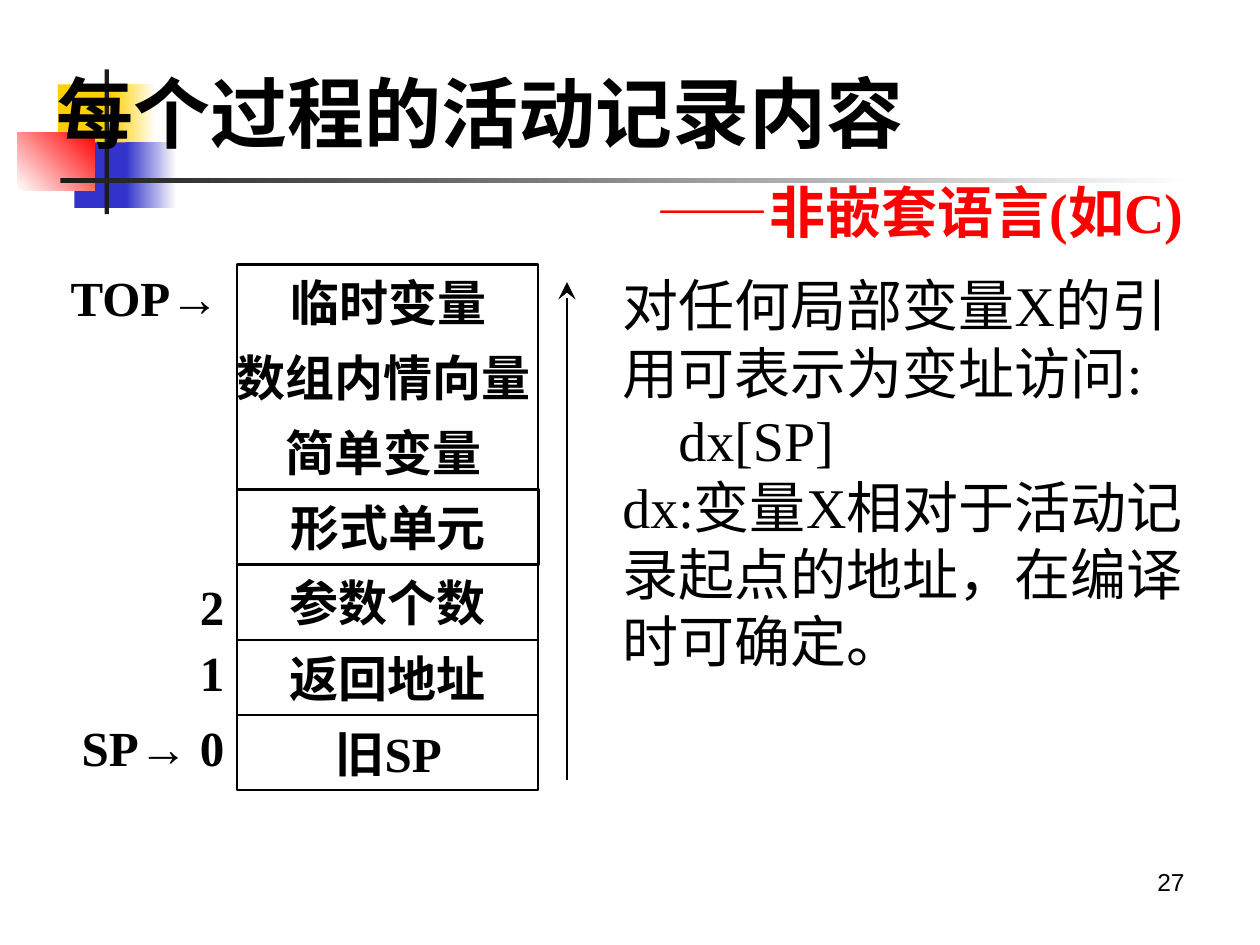
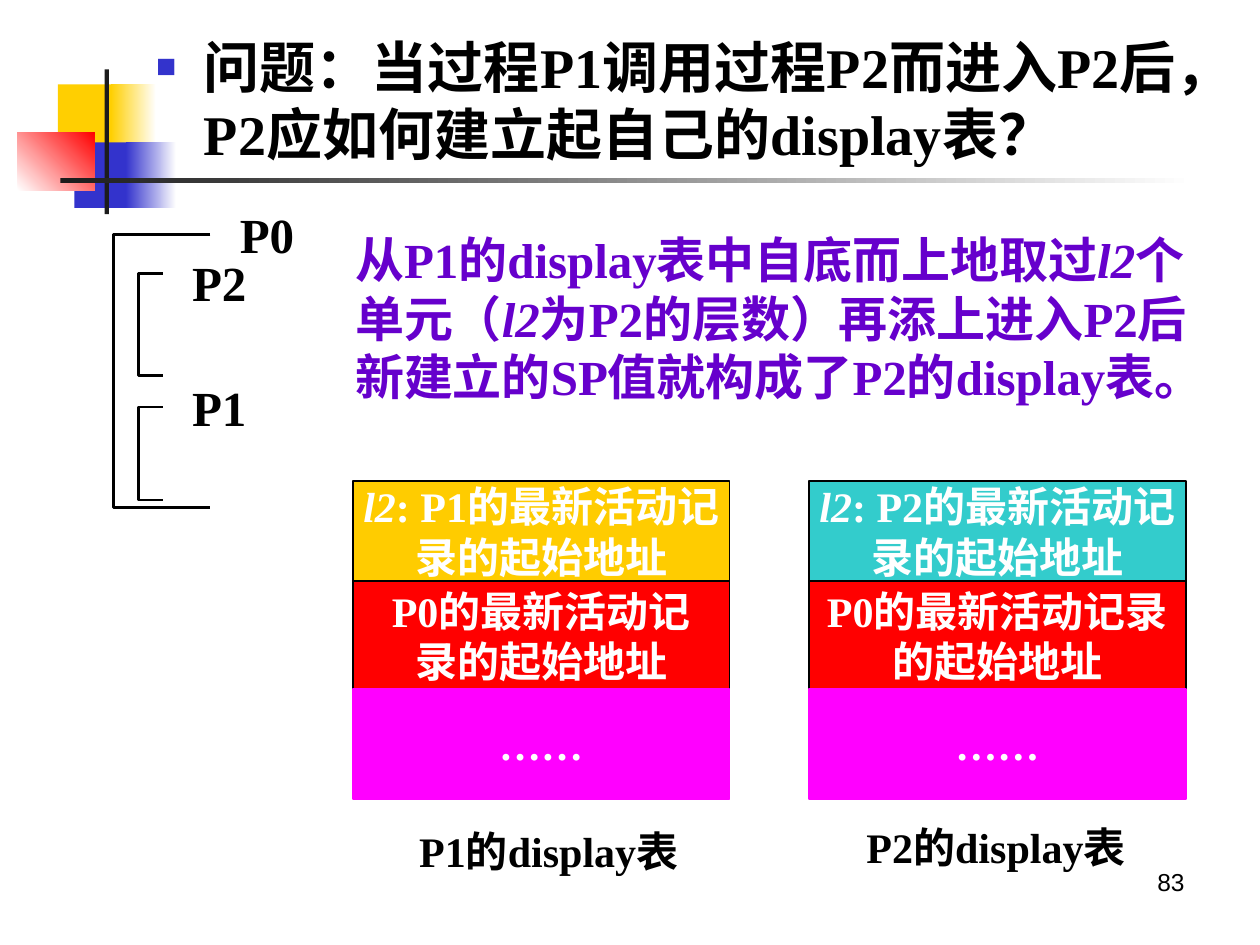
from dataclasses import dataclass
from typing import NamedTuple, Optional

from lxml.etree import SubElement
from pptx import Presentation
from pptx.dml.color import RGBColor
from pptx.enum.shapes import MSO_CONNECTOR, MSO_SHAPE
from pptx.enum.text import MSO_ANCHOR as Anchor, PP_ALIGN as Align
from pptx.oxml.ns import qn
from pptx.util import Inches, Pt

# Slide size and grid: 100 columns by 75 rows
WIDTH, HEIGHT = Inches(10), Inches(7.5)
COL, ROW = WIDTH / 100, HEIGHT / 75

# Colours
BLACK = RGBColor(0x00, 0x00, 0x00)
WHITE = RGBColor(0xFF, 0xFF, 0xFF)
INK = RGBColor(0x1C, 0x1C, 0x1C)
GOLD = RGBColor(0xFF, 0xCF, 0x01)
BLUE = RGBColor(0x33, 0x33, 0xCC)
RED = RGBColor(0xFF, 0x00, 0x00)
AMBER = RGBColor(0xFF, 0xCC, 0x00)
TEAL = RGBColor(0x33, 0xCC, 0xCC)
PINK = RGBColor(0xFF, 0x00, 0xFF)
PURPLE = RGBColor(0x66, 0x00, 0xCC)

SERIF, SANS = "Times New Roman", "Arial"
SLACK = 3  # columns added on both sides of a centred label


class Area(NamedTuple):
    """A place on the grid, in columns and rows."""
    left: float
    top: float
    width: float
    height: float

    def emu(self) -> tuple:
        return (round(self.left * COL), round(self.top * ROW),
                round(self.width * COL), round(self.height * ROW))

    def widen(self, by: float) -> "Area":
        return Area(self.left - by, self.top, self.width + 2 * by, self.height)


class Bit(NamedTuple):
    """A piece of a line that may differ from the style of its box."""
    text: str
    italic: bool = False
    font: Optional[str] = None
    size: Optional[int] = None
    color: Optional[RGBColor] = None


@dataclass(frozen=True)
class Style:
    size: int = 28
    color: RGBColor = BLACK
    bold: bool = True
    font: str = SERIF
    align: Align = Align.CENTER
    anchor: Anchor = Anchor.MIDDLE
    wrap: bool = False


@dataclass(frozen=True)
class Block:
    """A band of the corner ornament; a fade runs from color to end."""
    area: Area
    color: RGBColor
    end: Optional[RGBColor] = None
    angle: int = 0


class Cell(NamedTuple):
    """A row of the activation record."""
    label: str
    width: float
    boxed: bool


LABEL = Style()
NUMBER = Style(align=Align.RIGHT)
TITLE = Style(size=44, align=Align.LEFT, wrap=True)
TOPIC = Style(size=32, align=Align.LEFT, anchor=Anchor.TOP, wrap=True)
BODY = Style(size=32, bold=False, align=Align.LEFT, anchor=Anchor.TOP, wrap=True)
ANSWER = Style(color=PURPLE, align=Align.LEFT, anchor=Anchor.TOP, wrap=True)
ENTRY = Style(size=24, color=WHITE)
NAME = Style(size=24, anchor=Anchor.TOP)
PAGE = Style(size=14, bold=False, font=SANS, align=Align.RIGHT,
             anchor=Anchor.TOP, wrap=True)

DECOR = (
    Block(Area(4.6, 6.7, 4.8, 5.2), GOLD),
    Block(Area(8.8, 6.7, 3.6, 5.2), GOLD, WHITE),
    Block(Area(5.9, 11.3, 4.6, 5.2), BLUE),
    Block(Area(10, 11.3, 4, 5.2), BLUE, WHITE),
    Block(Area(1.4, 10.5, 6.1, 4.6), WHITE, RED, 45),
    Block(Area(8.3, 5.5, 0.35, 11.5), INK),
    Block(Area(4.8, 14.15, 90, 0.4), INK, WHITE),
)


# Drawing tools
def write(shape, lines: tuple, style: Style) -> list:
    frame = shape.text_frame
    frame.word_wrap = style.wrap
    frame.vertical_anchor = style.anchor
    for i, line in enumerate(lines):
        para = frame.paragraphs[0] if i == 0 else frame.add_paragraph()
        para.alignment = style.align
        for bit in (Bit(line),) if isinstance(line, str) else line:
            run = para.add_run()
            run.text = bit.text
            font = run.font
            font.name = bit.font or style.font
            font.size = Pt(bit.size or style.size)
            font.bold, font.italic = style.bold, bit.italic
            font.color.rgb = bit.color or style.color
    return list(frame.paragraphs)


def text(slide, area: Area, lines: tuple, style: Style) -> list:
    if style.align == Align.CENTER:
        area = area.widen(SLACK)
    return write(slide.shapes.add_textbox(*area.emu()), lines, style)


def box(slide, area: Area, fill: Optional[RGBColor] = None,
        line: Optional[RGBColor] = None, weight: float = 1.5):
    shape = slide.shapes.add_shape(MSO_SHAPE.RECTANGLE, *area.emu())
    shape.shadow.inherit = False
    if fill is None:
        shape.fill.background()
    else:
        shape.fill.solid()
        shape.fill.fore_color.rgb = fill
    if line is None:
        shape.line.fill.background()
    else:
        shape.line.color.rgb = line
        shape.line.width = Pt(weight)
    return shape


def bracket(slide, area: Area) -> None:
    left, top, width, height = area.emu()
    right, base = left + width, top + height
    pen = slide.shapes.build_freeform(right, top)
    pen.add_line_segments([(left, top), (left, base), (right, base)], close=False)
    shape = pen.convert_to_shape()
    shape.shadow.inherit = False
    shape.fill.background()
    shape.line.color.rgb = BLACK
    shape.line.width = Pt(1.5)


def arrow(slide, x: float, start: float, end: float) -> None:
    line = slide.shapes.add_connector(
        MSO_CONNECTOR.STRAIGHT, round(x * COL), round(start * ROW),
        round(x * COL), round(end * ROW))
    line.line.color.rgb = BLACK
    line.line.width = Pt(1.5)
    SubElement(line.line._get_or_add_ln(), qn("a:tailEnd"),
               type="stealth", w="lg", len="lg")
    SubElement(line._element.spPr, qn("a:effectLst"))


def bullet(para) -> None:
    props = para._p.get_or_add_pPr()
    props.set("marL", str(Inches(0.38)))
    props.set("indent", str(-Inches(0.38)))
    SubElement(SubElement(props, qn("a:buClr")), qn("a:srgbClr"), val=str(BLUE))
    SubElement(props, qn("a:buSzPct"), val="60000")
    SubElement(props, qn("a:buFont"), typeface=SANS)
    SubElement(props, qn("a:buChar"), char="■")


def start(deck, page: int):
    """Add a slide with the shared ornament and page number."""
    slide = deck.slides.add_slide(deck.slide_layouts[6])
    for block in DECOR:
        shape = box(slide, block.area, block.color)
        if block.end is not None:
            shape.fill.gradient()
            shape.fill.gradient_angle = block.angle
            for stop, color in zip(shape.fill.gradient_stops,
                                   (block.color, block.end)):
                stop.color.rgb = color
    text(slide, Area(71.7, 68.3, 23.3, 5.2), (str(page),), PAGE)
    return slide


# Slide: contents of an activation record
def record(deck) -> None:
    slide = start(deck, 27)
    heads = text(slide, Area(3.5, 4.3, 91.4, 16), (
        "每个过程的活动记录内容",
        (Bit("——非嵌套语言(如C)", size=32, color=RED),)), TITLE)
    heads[1].alignment = Align.RIGHT
    heads[1].space_before = Pt(11)

    notes = text(slide, Area(48.4, 21, 49.2, 42.5), (
        "对任何局部变量X的引用可表示为变址访问:",
        "dx[SP]",
        "dx:变量X相对于活动记录起点的地址，在编译时可确定。"), BODY)
    notes[1]._p.get_or_add_pPr().set("marL", str(Pt(32)))

    # Stack of cells inside one frame
    left, top, full = 18.8, 21, 41.7
    cells = (
        Cell("临时变量", 24.1, False),
        Cell("数组内情向量", 23.3, False),
        Cell("简单变量", 23.3, False),
        Cell("形式单元", 24, True),
        Cell("参数个数", 23.9, True),
        Cell("返回地址", 23.9, True),
        Cell("旧SP", 24.1, False),
    )
    step = full / len(cells)
    box(slide, Area(left, top, 23.9, full), line=BLACK)
    for i, cell in enumerate(cells):
        area = Area(left, top + i * step, cell.width, step)
        if cell.boxed:
            write(box(slide, area, line=BLACK), (cell.label,), LABEL)
        else:
            text(slide, area, (cell.label,), LABEL)

    # Pointers, offsets and direction of growth
    text(slide, Area(6, 21, 11, 5.2),
         ((Bit("TOP"), Bit("→", font=SANS)),), LABEL)
    text(slide, Area(6.6, 56.7, 11.1, 5.2),
         ((Bit("SP"), Bit("→", font=SANS), Bit(" 0")),), LABEL)
    for mark, y in (("2", 45.5), ("1", 50.7)):
        text(slide, Area(12.5, y, 6.3, 5.2), (mark,), NUMBER)
    arrow(slide, 45, 61.9, 22.4)


# Slide: building the display of P2
def display(deck) -> None:
    slide = start(deck, 83)
    topic = text(slide, Area(11.4, 2.1, 86.7, 12.5), (
        "问题：当过程P1调用过程P2而进入P2后，P2应如何建立起自己的display表？",), TOPIC)
    bullet(topic[0])

    # Nesting of the procedures
    nest = (
        ("P0", Area(9, 18.6, 7.7, 21.7), 16.1),
        ("P2", Area(11, 21.7, 1.9, 8.1), 19.9),
        ("P1", Area(11, 32.3, 1.9, 7.4), 29.8),
    )
    for name, area, y in nest:
        bracket(slide, area)
        text(slide, Area(area.left + area.width, y, 9, 5), (name,), LABEL)

    # The two display tables
    level = Bit("l2", italic=True)
    tables = (
        ("P1", 28, AMBER, ("P0的最新活动记", "录的起始地址"), Area(31.1, 65, 24.9, 5)),
        ("P2", 64.2, TEAL, ("P0的最新活动记录", "的起始地址"), Area(66.6, 64.7, 24.9, 5)),
    )
    for name, left, color, base, spot in tables:
        first = ((level, Bit(f": {name}的最新活动记")), "录的起始地址")
        rows = (
            (38.2, 7.9, color, BLACK, first),
            (46.1, 8.7, RED, BLACK, base),
            (54.7, 8.7, PINK, PINK, ("……",)),
        )
        for top, height, fill, edge, lines in rows:
            shape = box(slide, Area(left, top, 29.9, height), fill, edge, 1)
            write(shape, lines, ENTRY)
        text(slide, spot, (f"{name}的display表",), NAME)

    text(slide, Area(27.2, 17.7, 70.9, 19.7), ((
        Bit("从P1的display表中自底而上地取过"), level, Bit("个单元（"), level,
        Bit("为P2的层数）再添上进入P2后新建立的SP值就构成了P2的display表。")),), ANSWER)


def main() -> None:
    deck = Presentation()
    deck.slide_width, deck.slide_height = WIDTH, HEIGHT
    record(deck)
    display(deck)
    deck.save("out.pptx")


if __name__ == "__main__":
    main()
